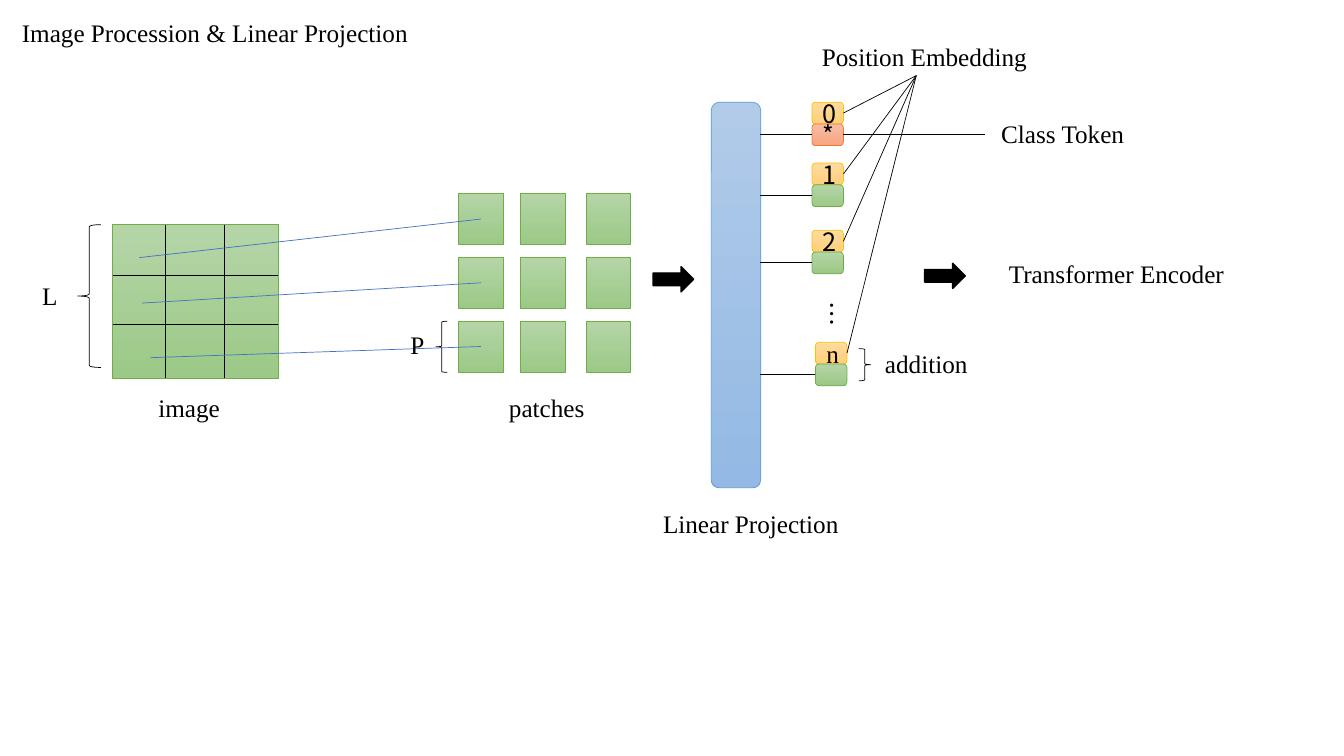
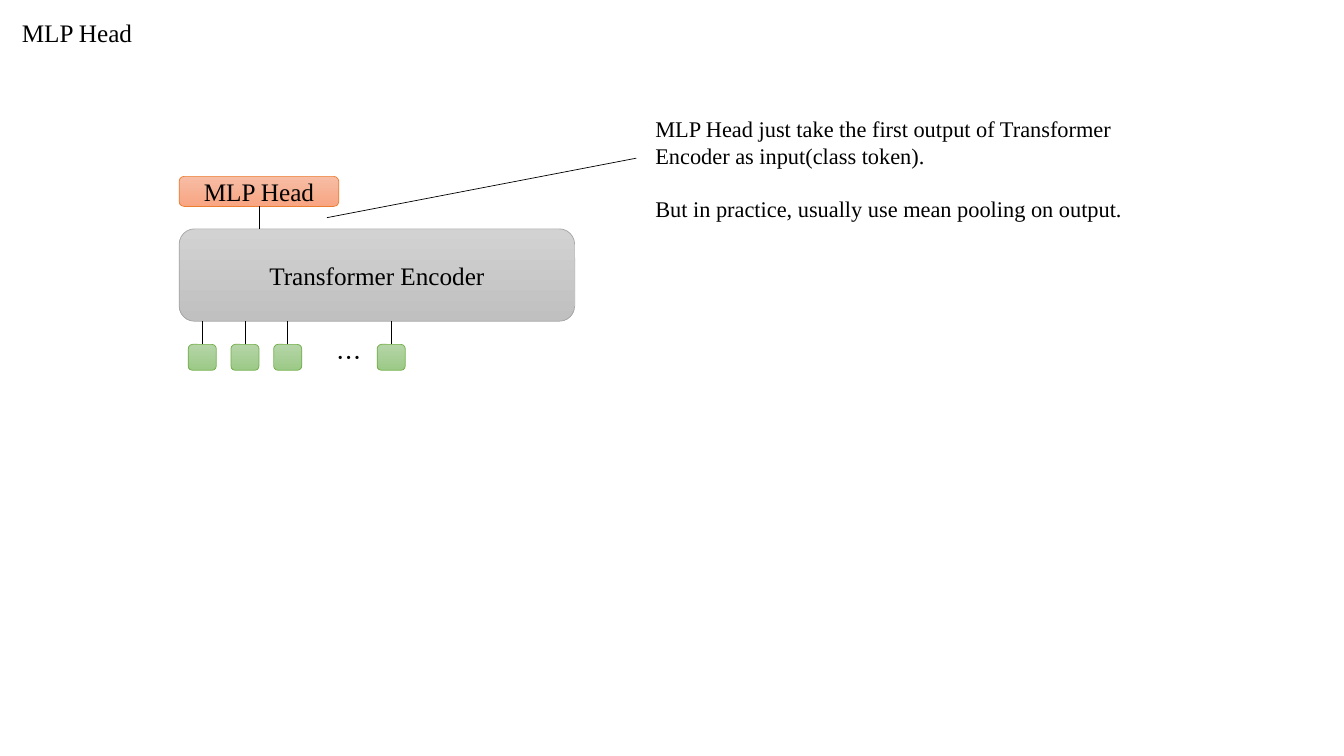
"""Build two slides on image patches, linear projection and the MLP head."""
from lxml import etree
from pptx import Presentation
from pptx.dml.color import RGBColor
from pptx.enum.shapes import MSO_CONNECTOR, MSO_SHAPE
from pptx.enum.text import MSO_ANCHOR, PP_ALIGN
from pptx.oxml.ns import qn
from pptx.util import Pt

RECT = MSO_SHAPE.RECTANGLE
ROUND = MSO_SHAPE.ROUNDED_RECTANGLE
ARROW = MSO_SHAPE.RIGHT_ARROW
LEFT = MSO_SHAPE.LEFT_BRACE
RIGHT = MSO_SHAPE.RIGHT_BRACE
LINE = MSO_CONNECTOR.STRAIGHT
CENTER = PP_ALIGN.CENTER
MIDDLE = MSO_ANCHOR.MIDDLE

BLACK = RGBColor(0x00, 0x00, 0x00)
AZURE = RGBColor(0x44, 0x72, 0xC4)
INK = (BLACK,)
GREEN = (RGBColor(0x70, 0xAD, 0x47), RGBColor(0xB5, 0xD5, 0xA7), RGBColor(0x9C, 0xC9, 0x87))
BLUE = (RGBColor(0x5B, 0x9B, 0xD5), RGBColor(0xB1, 0xCB, 0xE9), RGBColor(0x93, 0xB9, 0xE4))
GOLD = (RGBColor(0xFF, 0xC0, 0x00), RGBColor(0xFF, 0xDB, 0x9E), RGBColor(0xFF, 0xD0, 0x7C))
CORAL = (RGBColor(0xED, 0x7D, 0x31), RGBColor(0xF7, 0xBD, 0xA5), RGBColor(0xF8, 0xA5, 0x82))
GRAY = (RGBColor(0xA5, 0xA5, 0xA5), RGBColor(0xD2, 0xD2, 0xD2), RGBColor(0xC0, 0xC0, 0xC0))

SERIF = "Times New Roman"
SANS = "Noto Sans CJK SC"


def box(page, kind, spot, tone=INK, text="", face=SERIF, size=18):
    """Add a shape, or a text box if kind is None; tone is edge, then fill stops."""
    area = [Pt(value) for value in spot]
    if kind is None:
        item = page.shapes.add_textbox(*area)
    else:
        item = page.shapes.add_shape(kind, *area)
        item.shadow.inherit = False
        item.line.color.rgb = tone[0]
        item.line.width = Pt(0.5)
        if len(tone) == 1:
            item.fill.background()
        else:
            item.fill.gradient()
            item.fill.gradient_angle = 270
            for stop, color in zip(item.fill.gradient_stops, tone[1:]):
                stop.color.rgb = color
    if text:
        frame = item.text_frame
        frame.word_wrap = True
        frame.text = text
        if kind is not None:
            frame.vertical_anchor = MIDDLE
        for para in frame.paragraphs:
            para.font.name = face
            para.font.size = Pt(size)
            para.font.color.rgb = BLACK
            if kind is not None:
                para.alignment = CENTER
    return item


def link(page, start, end, color=BLACK):
    """Add a thin straight line between two points."""
    wire = page.shapes.add_connector(LINE, *[Pt(value) for value in start + end])
    wire.line.color.rgb = color
    wire.line.width = Pt(0.5)
    etree.SubElement(wire.element.spPr, qn("a:effectLst"))
    return wire


deck = Presentation()
deck.slide_width = Pt(960)
deck.slide_height = Pt(540)
pages = []
for title in ("Image Procession & Linear Projection", "MLP Head"):
    page = deck.slides.add_slide(deck.slide_layouts[6])
    box(page, None, (8.5, 8.5, 303, 29), text=title)
    pages.append(page)
flow, head = pages

box(flow, RECT, (80.5, 160.5, 118.5, 109.5), GREEN)
for x in (118, 160):
    link(flow, (x, 160.5), (x, 270))
for y in (196.5, 231.5):
    link(flow, (80.5, y), (198.5, y))

for row in range(3):
    for x in (327.5, 371.5, 418.5):
        box(flow, RECT, (x, 138 + 45.7 * row, 32, 36.5), GREEN)

box(flow, LEFT, (55.5, 160.5, 16.5, 102))
box(flow, LEFT, (311.5, 229.5, 8, 36.5))
box(flow, RIGHT, (613.5, 249, 8.5, 23))
box(flow, ROUND, (508, 73, 35.5, 275.5), BLUE)

for x, y in ((466.5, 190.5), (660.5, 188)):
    arrow = box(flow, ARROW, (x, y, 29, 18))
    arrow.fill.solid()
    arrow.fill.fore_color.rgb = BLACK
    arrow.line.width = Pt(1)

for start, end in (((99.5, 184), (343.5, 156.5)),
                   ((101.5, 216.5), (343.5, 202)),
                   ((107.5, 255.5), (343.5, 247.5))):
    link(flow, start, end, AZURE)

for label, x, y, tone, face in (("0", 580, 73, CORAL, SANS),
                                ("1", 580, 116.5, GREEN, SANS),
                                ("2", 580, 164.5, GREEN, SANS),
                                ("n", 582.5, 244.5, GREEN, SERIF)):
    place = box(flow, ROUND, (x, y, 22.5, 15.5), GOLD, label, face)
    mark = "*" if tone is CORAL else ""
    token = box(flow, ROUND, (x, y + 15.5, 22.5, 15.5), tone, mark, SANS)
    mid = y + 23.25
    link(flow, (543, mid), (x, mid)).end_connect(token, 1)
    link(flow, (x + 22.5, y + 7.75), (654.5, 54)).begin_connect(place, 3)
    if mark:
        link(flow, (x + 22.5, mid), (703.5, mid)).begin_connect(token, 3)

for text, x, y, width in (("image", 106, 277, 68),
                          ("patches", 356.5, 277, 78),
                          ("L", 23, 196.5, 30),
                          ("P", 286, 232, 34.5),
                          ("Position Embedding", 580, 26, 202),
                          ("Class Token", 708, 81, 110),
                          ("Linear Projection", 466.5, 359.5, 150.5),
                          ("Transformer Encoder", 713.5, 181, 183.5),
                          ("addition", 625, 245.5, 75.5)):
    box(flow, None, (x, y, width, 29), text=text)
dots = box(flow, None, (573, 208, 36, 21), text="…", face=SANS)
dots.element.txBody.bodyPr.set("vert", "eaVert")

box(head, ROUND, (128, 163.5, 282.5, 66), GRAY, "Transformer Encoder")
top = box(head, ROUND, (128, 126, 114, 21.5), CORAL, "MLP Head")
link(head, (185, 163.5), (185, 147.5)).end_connect(top, 2)
for x in (134.5, 165, 195.5, 269.5):
    token = box(head, ROUND, (x, 246, 20, 18.5), GREEN)
    link(head, (x + 10, 246), (x + 10, 229.5)).begin_connect(token, 0)
box(head, None, (233.5, 241, 29.5, 29), text="…", face=SANS)
link(head, (233.5, 155.5), (454.5, 113))
note = box(head, None, (461, 78.5, 350, 85), size=16,
           text="MLP Head just take the first output of Transformer Encoder "
                "as input(class token).\n"
                "But in practice, usually use mean pooling on output.")
note.text_frame.paragraphs[1].space_before = Pt(19)

deck.save("out.pptx")
